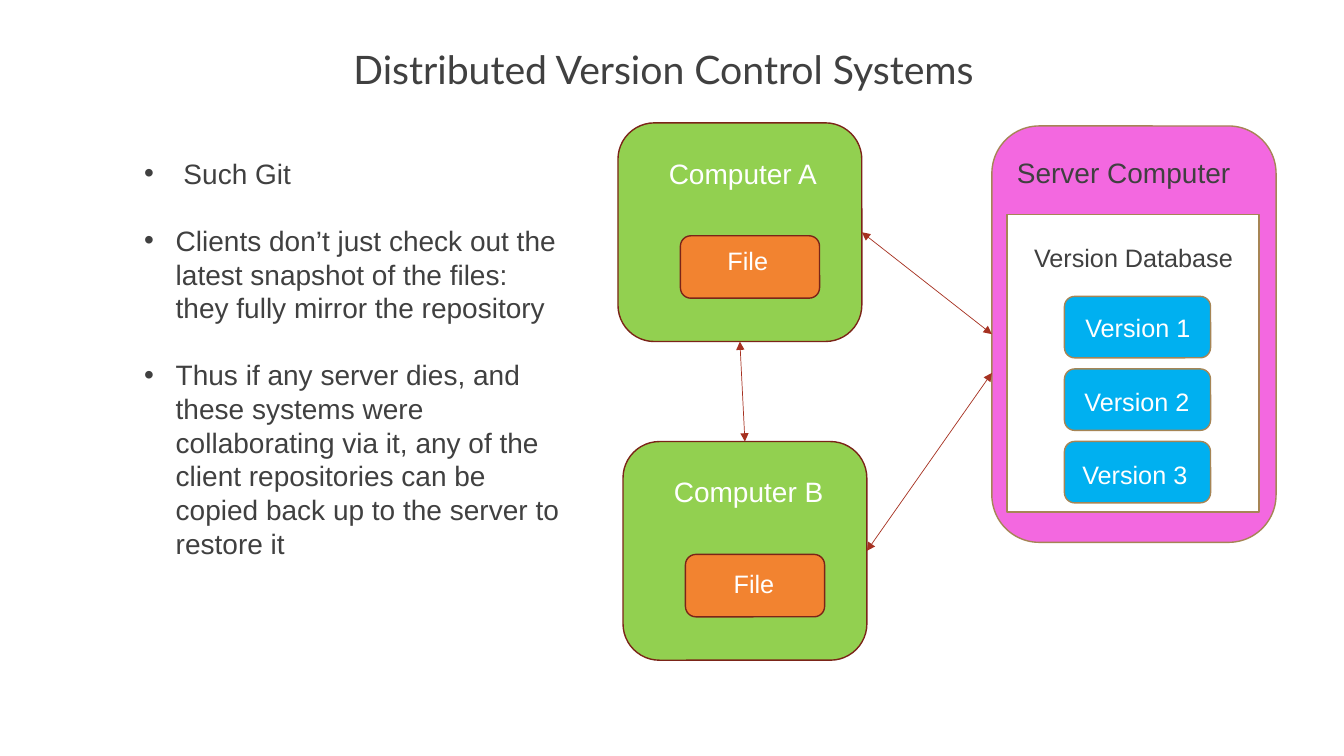
from lxml import etree
from pptx import Presentation
from pptx.dml.color import RGBColor
from pptx.enum.shapes import MSO_CONNECTOR, MSO_SHAPE
from pptx.enum.text import MSO_ANCHOR, MSO_AUTO_SIZE, PP_ALIGN
from pptx.oxml.ns import qn
from pptx.util import Pt

ROUND, RECT = MSO_SHAPE.ROUNDED_RECTANGLE, MSO_SHAPE.RECTANGLE
STRAIGHT = MSO_CONNECTOR.STRAIGHT
TOP, LEFT, BOTTOM, RIGHT = range(4)  # connection sites of a rectangle

COLORS = {
    "text": "404040", "white": "FFFFFF", "server": "F368E0",
    "version": "00B0F0", "computer": "92D050", "file": "F28330",
    "tan": "A68555", "maroon": "7B2418", "arrow": "A63121",
}

TITLE = "Distributed Version Control Systems"
BULLETS = [
    " Such Git",
    "Clients don’t just check out the latest snapshot of the files: "
    "they fully mirror the repository",
    "Thus if any server dies, and these systems were collaborating via it, "
    "any of the client repositories can be copied back up to the server "
    "to restore it",
]
# name, left, top of the computer; offset of its file label
COMPUTERS = [
    ("Computer A", 441.4, 87.8, (71.2, 83.6)),
    ("Computer B", 445, 315.4, (72, 87.1)),
]
# name, left, top of the label
VERSIONS = [
    ("Version 1", 768.2, 219.6),
    ("Version 2", 767.5, 272.2),
    ("Version 3", 766, 324.7),
]
VERSION_TOP, VERSION_PITCH = 211.7, 51.8
LINE_PITCH = 24


def rgb(name):
    return RGBColor.from_string(COLORS[name])


def move(s, left, top, width, height):
    s.left, s.top, s.width, s.height = map(Pt, (left, top, width, height))


def add_run(p, text, size, color="text", font="Arial"):
    r = p.add_run()
    r.text = text
    r.font.size, r.font.name = Pt(size), font
    r.font.color.rgb = rgb(color)


def add_box(slide, kind, left, top, width, height, fill, line):
    s = slide.shapes.add_shape(kind, *map(Pt, (left, top, width, height)))
    s.shadow.inherit = False
    s.fill.solid()
    s.fill.fore_color.rgb = rgb(fill)
    s.line.color.rgb = rgb(line)
    s.line.width = Pt(1)
    return s


def add_label(slide, text, left, top, width, size, color="white"):
    height = size * 1.2 + 7.2
    s = slide.shapes.add_textbox(*map(Pt, (left, top, width, height)))
    s.text_frame.word_wrap = True
    add_run(s.text_frame.paragraphs[0], text, size, color)


def add_arrow(slide, start, start_site, end, end_site=None, point=(0, 0)):
    """Join two shapes; without an end site the arrow stops at point."""
    x, y = map(Pt, point)
    c = slide.shapes.add_connector(STRAIGHT, x, y, x, y)
    c.begin_connect(start, start_site)
    if end_site is not None:
        c.end_connect(end, end_site)
    c.line.color.rgb = rgb("arrow")
    c.line.width = Pt(0.5)
    ln = c.line._get_or_add_ln()
    for tag in ("a:headEnd", "a:tailEnd"):
        etree.SubElement(ln, qn(tag)).set("type", "triangle")
    etree.SubElement(c._element.spPr, qn("a:effectLst"))


def add_bullet(p, text):
    pPr = p._p.get_or_add_pPr()
    pPr.set("marL", str(Pt(22.5)))
    pPr.set("indent", str(-Pt(22.5)))
    etree.SubElement(pPr, qn("a:buFont")).set("typeface", "Arial")
    etree.SubElement(pPr, qn("a:buChar")).set("char", "•")
    p.line_spacing = Pt(LINE_PITCH)
    add_run(p, text, 20)


def fill_placeholders(slide):
    title, body = slide.placeholders
    move(title, 216, 21.6, 516, 48.2)
    tf = title.text_frame
    tf.vertical_anchor = MSO_ANCHOR.BOTTOM
    tf.auto_size = MSO_AUTO_SIZE.NONE
    p = tf.paragraphs[0]
    p.alignment, p.line_spacing = PP_ALIGN.CENTER, 0.9
    add_run(p, TITLE, 28, font="Lato")

    move(body, 95.8, 108, 316, 298)
    tf = body.text_frame
    tf.vertical_anchor = MSO_ANCHOR.TOP
    tf.auto_size = MSO_AUTO_SIZE.NONE
    for i, text in enumerate(BULLETS):
        p = tf.add_paragraph() if i else tf.paragraphs[0]
        p.space_before = Pt(LINE_PITCH if i else 0)
        add_bullet(p, text)


def add_server(slide):
    server = add_box(slide, ROUND, 708.5, 90, 203, 297.4, "server", "tan")
    add_box(slide, RECT, 719.3, 153.4, 180, 212.4, "white", "tan")
    add_label(slide, "Server Computer", 719.3, 107.3, 192.2, 20, "text")
    add_label(slide, "Version Database", 731.5, 169.2, 162, 18, "text")
    for i, (name, left, top) in enumerate(VERSIONS):
        y = VERSION_TOP + i * VERSION_PITCH
        add_box(slide, ROUND, 760.3, y, 104.4, 43.9, "version", "tan")
        add_label(slide, name, left, top, 93.6, 18)
    return server


def add_computer(slide, name, x, y, file_offset):
    s = add_box(slide, ROUND, x, y, 174.2, 156.2, "computer", "maroon")
    add_label(slide, name, x + 29.2, y + 20.2, 126, 20)
    add_box(slide, ROUND, x + 44.6, y + 80.6, 99.4, 44.6, "file", "maroon")
    dx, dy = file_offset
    add_label(slide, "File", x + dx, y + dy, 72, 18)
    return s


def main():
    prs = Presentation()
    prs.slide_width, prs.slide_height = Pt(960), Pt(540)
    slide = prs.slides.add_slide(prs.slide_layouts[1])
    fill_placeholders(slide)
    server = add_server(slide)
    a, b = [add_computer(slide, *c) for c in COMPUTERS]
    add_arrow(slide, a, RIGHT, server, LEFT)
    add_arrow(slide, b, RIGHT, server, point=(708.5, 266.4))
    add_arrow(slide, a, BOTTOM, b, TOP)
    prs.save("out.pptx")


if __name__ == "__main__":
    main()
